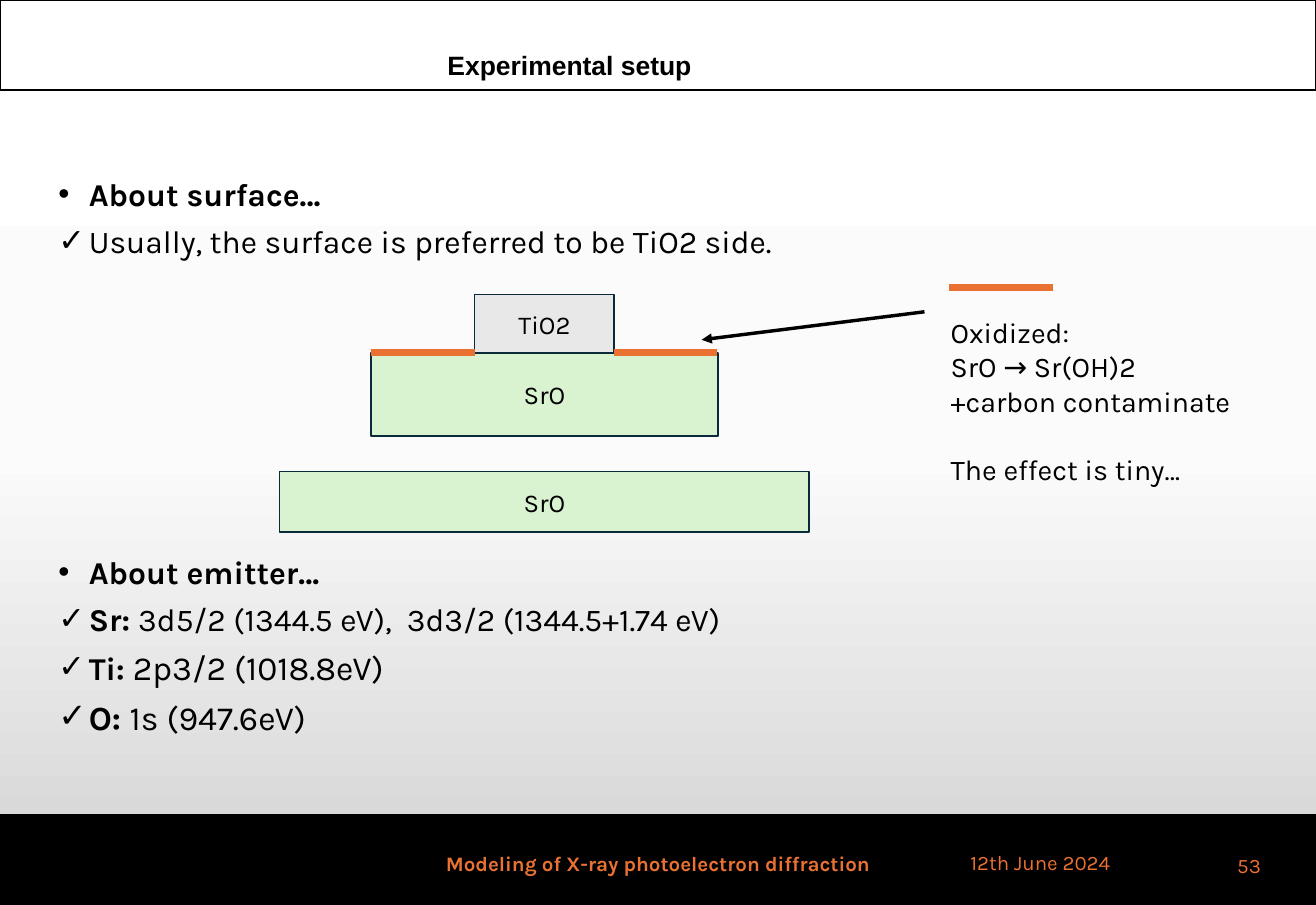
from dataclasses import dataclass
from copy import deepcopy

from lxml.etree import SubElement
from pptx import Presentation
from pptx.dml.color import RGBColor
from pptx.enum.shapes import MSO_CONNECTOR, MSO_SHAPE
from pptx.enum.text import MSO_ANCHOR, MSO_AUTO_SIZE, PP_ALIGN
from pptx.oxml.ns import qn
from pptx.util import Pt

PX = 9144  # EMU per px, 100 px to the inch


@dataclass(frozen=True)
class Theme:
    font: str = "Karla"
    title_font: str = "Arial"
    black: str = "000000"
    white: str = "FFFFFF"
    accent: str = "E97132"
    outline: str = "092A39"
    titania: str = "E8E8E8"
    strontia: str = "D9F2D0"
    backdrop: tuple = ((0, "FFFFFF"), (0.5, "FBFBFB"), (1, "D1D1D1"))
    title: float = 40
    body: float = 27.8
    body_large: float = 29.6
    note: float = 25
    label: float = 22.5
    footer: float = 18
    thin: float = 1.5
    arrow: float = 3
    thick: float = 6


THEME = Theme()
SLIDE = (1600, 1100)
BAR_HEIGHT = 109
SECTION_GAP = 263

TITLE = "Experimental setup"
# bullet, space before in points, runs of (text, bold, size)
POINTS = [
    ("•", 0, [("About surface…", True, THEME.body)]),
    ("✓", 14.7, [("Usually, the surface is preferred to be TiO2 side.", False, THEME.body)]),
    ("•", SECTION_GAP, [("About emitter…", True, THEME.body)]),
    ("✓", 14.7, [("Sr: ", True, THEME.body),
                 ("3d5/2 (1344.5 eV),  3d3/2 (1344.5+1.74 eV)", False, THEME.body)]),
    ("✓", 14.7, [("Ti: ", True, THEME.body), ("2p3/2 (1018.8eV)", False, THEME.body_large)]),
    ("✓", 14.7, [("O: ", True, THEME.body_large), ("1s (947.6eV)", False, THEME.body_large)]),
]
LAYERS = [
    ("TiO2", (577, 358, 170, 73), THEME.titania),
    ("SrO", (451, 429, 422, 101), THEME.strontia),
    ("SrO", (340, 573, 644, 74), THEME.strontia),
]
OXIDE_LINES = [((451, 429), (577, 429)), ((747, 429), (872, 429)), ((1154, 349), (1280, 349))]
NOTE_ARROW = ((1124, 379), (853, 413))
NOTE = [("Oxidized:", 0), ("SrO → Sr(OH)2", 0), ("+carbon contaminate", 0),
        ("The effect is tiny…", 30)]
FOOTERS = [
    ("Modeling of X-ray photoelectron diffraction", (520, 1020, 560, 59), PP_ALIGN.CENTER, True),
    ("53", (1490, 1022, 53, 59), PP_ALIGN.RIGHT, False),
    ("12th June 2024", (1170, 1018, 220, 59), PP_ALIGN.LEFT, False),
]


def rgb(color):
    return RGBColor.from_string(color)


def emu(lengths):
    return [length * PX for length in lengths]


def place(shape, box):
    shape.left, shape.top, shape.width, shape.height = emu(box)


def set_frame(frame, anchor=MSO_ANCHOR.TOP):
    frame.word_wrap = True
    frame.auto_size = MSO_AUTO_SIZE.NONE
    frame.vertical_anchor = anchor
    return frame


def write(paragraph, text, size, color=THEME.black, font=THEME.font, bold=False,
          align=PP_ALIGN.LEFT, before=0):
    paragraph.alignment = align
    paragraph.space_before = Pt(before)
    run = paragraph.add_run()
    run.text = text
    run.font.name, run.font.size, run.font.bold = font, Pt(size), bold
    run.font.color.rgb = rgb(color)
    return run


def next_paragraph(frame, index):
    return frame.add_paragraph() if index else frame.paragraphs[0]


def add_box(slide, box, fill, line):
    shape = slide.shapes.add_shape(MSO_SHAPE.RECTANGLE, *emu(box))
    shape.shadow.inherit = False
    shape.fill.solid()
    shape.fill.fore_color.rgb = rgb(fill)
    shape.line.color.rgb = rgb(line)
    shape.line.width = Pt(THEME.thin)
    return shape


def add_line(slide, ends, color, width, arrow=False):
    start, end = ends
    line = slide.shapes.add_connector(MSO_CONNECTOR.STRAIGHT, *emu(start + end))
    line.line.color.rgb = rgb(color)
    line.line.width = Pt(width)
    if arrow:
        SubElement(line.line._get_or_add_ln(), qn("a:tailEnd"), type="triangle")
    SubElement(line._element.spPr, qn("a:effectLst"))


def set_bullet(paragraph, mark):
    props = paragraph._p.get_or_add_pPr()
    props.set("marL", str(37 * PX))
    props.set("indent", str(-37 * PX))
    SubElement(props, qn("a:buFont"), typeface="Arial")
    SubElement(props, qn("a:buChar"), char=mark)


def paint_background(slide):
    fill = slide.background.fill
    fill.gradient()
    fill.gradient_angle = 270
    stop_list = slide.element.find(".//" + qn("a:gsLst"))
    stop_list.insert(1, deepcopy(stop_list[0]))
    for stop, (position, color) in zip(fill.gradient_stops, THEME.backdrop):
        stop.position = position
        stop.color.rgb = rgb(color)


def add_bars(slide):
    width, height = SLIDE
    bars = [(0, THEME.white), (height - BAR_HEIGHT, THEME.black)]
    for depth, (top, fill) in enumerate(bars):
        bar = add_box(slide, (0, top, width, BAR_HEIGHT), fill, THEME.black)
        slide.shapes._spTree.insert(2 + depth, bar._element)
    add_line(slide, ((0, BAR_HEIGHT), (width, BAR_HEIGHT)), THEME.black, THEME.thin)


def fill_placeholders(slide):
    title, body = slide.placeholders
    place(title, (530, 44, 871, 55))
    frame = set_frame(title.text_frame)
    frame.margin_left = 14 * PX
    heading = write(frame.paragraphs[0], TITLE, THEME.title, font=THEME.title_font, bold=True)
    heading.font._element.set("baseline", "23000")

    place(body, (61, 216, 1516, 719))
    frame = set_frame(body.text_frame)
    for index, (mark, before, runs) in enumerate(POINTS):
        paragraph = next_paragraph(frame, index)
        set_bullet(paragraph, mark)
        paragraph.line_spacing = 0.8
        for text, bold, size in runs:
            write(paragraph, text, size, bold=bold, before=before)


def add_layer_diagram(slide):
    for name, box, fill in LAYERS:
        layer = add_box(slide, box, fill, THEME.outline)
        frame = set_frame(layer.text_frame, MSO_ANCHOR.MIDDLE)
        write(frame.paragraphs[0], name, THEME.label, align=PP_ALIGN.CENTER)
    add_line(slide, NOTE_ARROW, THEME.black, THEME.arrow, arrow=True)
    for ends in OXIDE_LINES:
        add_line(slide, ends, THEME.accent, THEME.thick)


def add_note(slide):
    frame = set_frame(slide.shapes.add_textbox(*emu((1146, 378, 380, 221))).text_frame)
    for index, (text, before) in enumerate(NOTE):
        write(next_paragraph(frame, index), text, THEME.note, before=before)


def add_footers(slide):
    for text, box, align, bold in FOOTERS:
        frame = set_frame(slide.shapes.add_textbox(*emu(box)).text_frame, MSO_ANCHOR.MIDDLE)
        write(frame.paragraphs[0], text, THEME.footer, THEME.accent, bold=bold, align=align)


def main():
    deck = Presentation()
    deck.slide_width, deck.slide_height = emu(SLIDE)
    slide = deck.slides.add_slide(deck.slide_layouts[1])
    paint_background(slide)
    add_bars(slide)
    fill_placeholders(slide)
    add_layer_diagram(slide)
    add_note(slide)
    add_footers(slide)
    deck.save("out.pptx")


if __name__ == "__main__":
    main()
